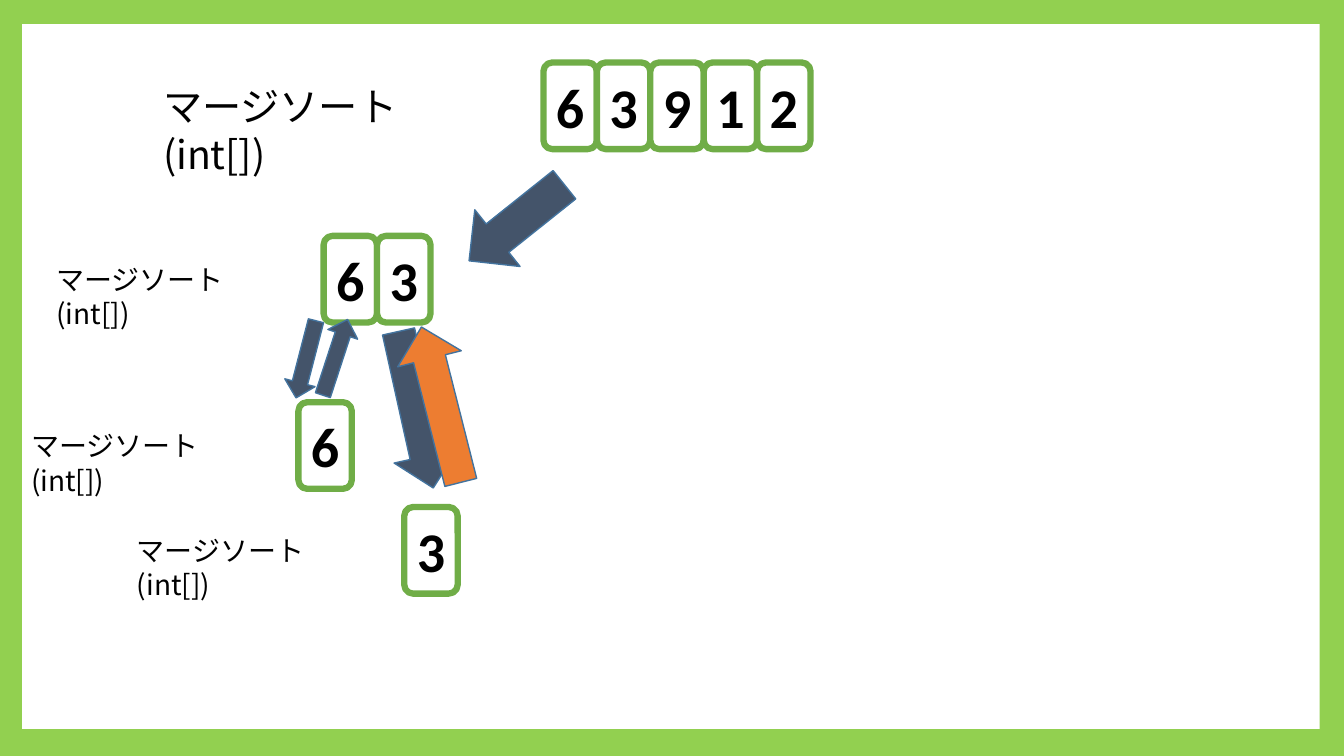
from pptx import Presentation
from pptx.dml.color import RGBColor
from pptx.enum.shapes import MSO_SHAPE
from pptx.enum.text import MSO_ANCHOR, PP_ALIGN
from pptx.util import Inches, Pt

THEME = {
    "frame": "92D050", "paper": "FFFFFF", "ink": "000000", "card": "70AD47",
    "edge": "43739E", "call": "44546A", "back": "ED7D31",
    "digit": 40, "large": 28, "small": 20,
    "latin": "Calibri", "kana": "Noto Sans CJK JP",
}
LABEL = "マージソート\v(int[])"  # \v is a line break inside the paragraph

# Each call of the sort: its numbers, left and top of the first card, label size
CALLS = [
    ("63912", 5.39, 0.62, "large"),
    ("63", 3.21, 2.34, "small"),
    ("6", 2.96, 3.99, "small"),
    ("3", 4.01, 5.03, "small"),
]
# Label size: offset left and down from the first card, width, height
LABELS = {"large": (3.87, 0.14, 3.6, 0.57), "small": (2.75, 0.21, 2.63, 0.44)}
# left, top, width, height, rotation, colour
ARROWS = [
    (4.52, 1.85, 1.21, 0.72, 141.4, "call"),
    (3.33, 3.74, 1.59, 0.65, 77.5, "call"),
    (3.58, 3.69, 1.59, 0.65, 255.8, "back"),
    (2.64, 3.41, 0.79, 0.31, 104.5, "call"),
    (2.93, 3.39, 0.79, 0.31, 288.1, "call"),
]
CARD_W, CARD_H = 0.53, 0.86
LEADING = 1.22


def color(name):
    return RGBColor.from_string(THEME[name])


def write(shape, text, size, font, bold=False, align=PP_ALIGN.LEFT,
          anchor=MSO_ANCHOR.TOP, leading=None):
    frame = shape.text_frame
    frame.word_wrap = True
    frame.vertical_anchor = anchor
    para = frame.paragraphs[0]
    para.text = text
    para.alignment = align
    if leading:
        para.line_spacing = Pt(round(THEME[size] * leading, 1))
    for run in para.runs:
        run.font.size = Pt(THEME[size])
        run.font.name = THEME[font]
        run.font.bold = bold
        run.font.color.rgb = color("ink")


def draw(slide, kind, box, fill, line=None, weight=1):
    shape = slide.shapes.add_shape(kind, *map(Inches, box))
    shape.shadow.inherit = False
    shape.fill.solid()
    shape.fill.fore_color.rgb = color(fill)
    if line:
        shape.line.color.rgb = color(line)
        shape.line.width = Pt(weight)
    else:
        shape.line.fill.background()
    return shape


def add_call(slide, digits, left, top, size):
    """Draw one row of number cards and the label to its left."""
    for i, digit in enumerate(digits):
        box = (left + i * CARD_W, top, CARD_W, CARD_H)
        card = draw(slide, MSO_SHAPE.ROUNDED_RECTANGLE, box, "paper", "card", 4.5)
        write(card, digit, "digit", "latin", bold=True,
              align=PP_ALIGN.CENTER, anchor=MSO_ANCHOR.MIDDLE)
    dx, dy, width, height = LABELS[size]
    label = slide.shapes.add_textbox(
        *map(Inches, (left - dx, top + dy, width, height)))
    write(label, LABEL, size, "kana", leading=LEADING)


def main():
    deck = Presentation()
    deck.slide_width, deck.slide_height = Inches(13.33), Inches(7.5)
    slide = deck.slides.add_slide(deck.slide_layouts[6])
    slide.background.fill.solid()
    slide.background.fill.fore_color.rgb = color("frame")
    draw(slide, MSO_SHAPE.RECTANGLE, (0.22, 0.24, 12.87, 6.99), "paper")
    for call in CALLS:
        add_call(slide, *call)
    for *box, angle, fill in ARROWS:
        arrow = draw(slide, MSO_SHAPE.RIGHT_ARROW, box, fill, "edge")
        arrow.rotation = angle
    deck.save("out.pptx")


if __name__ == "__main__":
    main()
